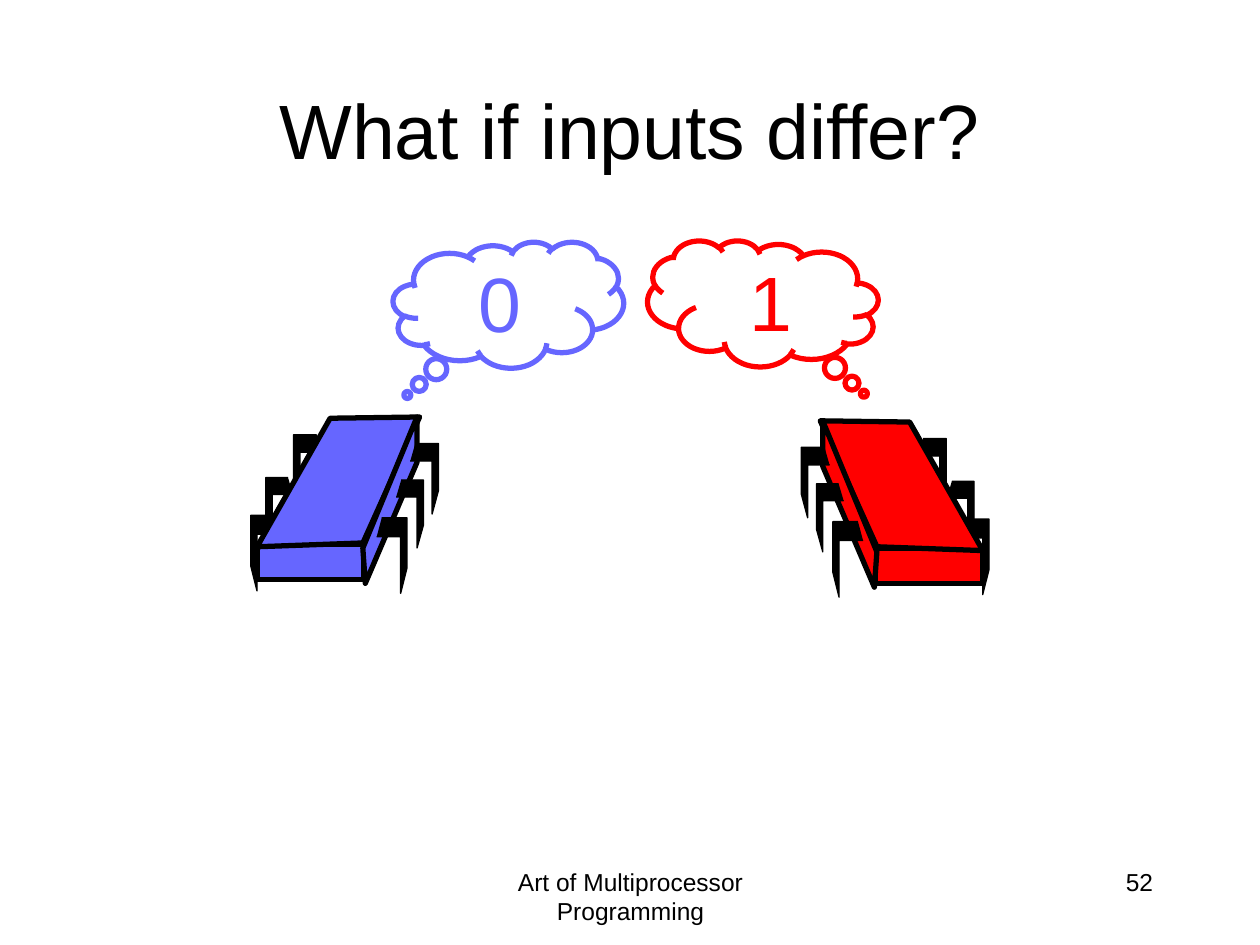
from dataclasses import dataclass

from pptx import Presentation
from pptx.dml.color import RGBColor
from pptx.enum.shapes import MSO_SHAPE as Shape
from pptx.enum.text import MSO_ANCHOR as Anchor, PP_ALIGN as Align
from pptx.oxml.ns import qn
from pptx.util import Inches, Pt

# The slide is a grid of 1000 columns by 750 rows
COLUMNS, ROWS = 1000, 750
WIDTH, HEIGHT = Inches(10), Inches(7.5)


@dataclass(frozen=True)
class Theme:
    font: str = "Arial"
    black: RGBColor = RGBColor(0, 0, 0)
    blue: RGBColor = RGBColor(0x66, 0x66, 0xFF)
    red: RGBColor = RGBColor(0xFF, 0, 0)
    large: int = 44
    small: int = 14
    outline: float = 3
    hairline: float = 0.75


THEME = Theme()

# Left robot, in grid cells; the other one is its mirror image
FRONT = [(204, 432), (289, 460)]
TOP = [(204, 434), (288, 431), (333, 331), (262, 332)]
SIDE = [(331, 331), (331, 367), (290, 463), (288, 435)]
# Legs: outer column, top row, height
LEFT_LEGS = [(199, 409, 60), (211, 379, 54), (233, 345, 56)]
RIGHT_LEGS = [(323, 411, 60), (336, 381, 54), (348, 352, 56)]
MIRROR_SUM, MIRROR_DROP = 984, 3


def across(columns):
    return round(WIDTH * columns / COLUMNS)


def down(rows):
    return round(HEIGHT * rows / ROWS)


def place(box, left, top, width, height):
    box.left, box.top = across(left), down(top)
    box.width, box.height = across(width), down(height)


def write(box, text, size=THEME.small, color=THEME.black,
          align=Align.CENTER, anchor=Anchor.TOP):
    frame = box.text_frame
    frame.word_wrap = True
    frame.vertical_anchor = anchor
    para = frame.paragraphs[0]
    para.alignment = align
    span = para.add_run()
    span.text = text
    span.font.name = THEME.font
    span.font.size = Pt(size)
    span.font.color.rgb = color


def paint(shape, fill, line, weight):
    shape.shadow.inherit = False
    if fill is None:
        shape.fill.background()
    else:
        shape.fill.solid()
        shape.fill.fore_color.rgb = fill
    shape.line.color.rgb = line
    shape.line.width = Pt(weight)


def add_label(page, text, area, align):
    box = page.shapes.add_textbox(0, 0, 0, 0)
    place(box, *area)
    write(box, text, align=align)


def add_outline(group, points, fill, weight, close=True):
    corners = [(across(x), down(y)) for x, y in points]
    builder = group.shapes.build_freeform(*corners[0])
    builder.add_line_segments(corners[1:], close=close)
    paint(builder.convert_to_shape(), fill, THEME.black, weight)


def leg_points(outer, top, height, inward):
    reach = 0.4 * height
    steps = [(reach - 4, 0), (0, 0), (0, height * 2 / 3),
             (5, height), (5, height / 4), (reach, height / 4)]
    return [(outer + inward * x, top + y) for x, y in steps]


def add_robot(page, color, mirrored=False):
    group = page.shapes.add_group_shape()

    def turn(points):
        if not mirrored:
            return points
        return [(MIRROR_SUM - x, y + MIRROR_DROP) for x, y in points]

    def add_legs(legs, inward):
        for leg in legs:
            add_outline(group, turn(leg_points(*leg, inward)),
                        THEME.black, THEME.hairline, close=False)

    # Front face, far legs, body, near legs
    (x1, top), (x2, bottom) = turn(FRONT)
    front = group.shapes.add_shape(
        Shape.RECTANGLE, across(min(x1, x2)), down(top),
        across(abs(x2 - x1)), down(bottom - top))
    paint(front, color, THEME.black, THEME.outline)
    add_legs(LEFT_LEGS, 1)
    for face in (TOP, SIDE):
        add_outline(group, turn(face), color, THEME.outline)
    add_legs(RIGHT_LEGS, -1)


def add_thought(page, text, left, top, color, mirrored=False):
    cloud = page.shapes.add_shape(Shape.CLOUD_CALLOUT, 0, 0, 0, 0)
    place(cloud, left, top, 183, 100)
    cloud.adjustments[0], cloud.adjustments[1] = -0.438, 0.715
    if mirrored:
        cloud._element.spPr.find(qn("a:xfrm")).set("flipH", "1")
    paint(cloud, None, color, THEME.outline)
    write(cloud, text, size=THEME.large, color=color, anchor=Anchor.MIDDLE)


def main():
    deck = Presentation()
    deck.slide_width, deck.slide_height = WIDTH, HEIGHT
    page = deck.slides.add_slide(deck.slide_layouts.get_by_name("Title Only"))

    # Footer and title
    add_label(page, "Art of Multiprocessor Programming",
              (342, 683, 317, 50), Align.CENTER)
    add_label(page, "52", (717, 683, 208, 50), Align.RIGHT)
    title = page.shapes.title
    place(title, 75, 40, 850, 125)
    write(title, "What if inputs differ?", size=THEME.large,
          anchor=Anchor.MIDDLE)

    # Two robots with different inputs
    add_robot(page, THEME.red, mirrored=True)
    add_thought(page, "1", 514, 191, THEME.red, mirrored=True)
    add_robot(page, THEME.blue)
    add_thought(page, "0", 312, 192, THEME.blue)

    deck.save("out.pptx")


if __name__ == "__main__":
    main()
